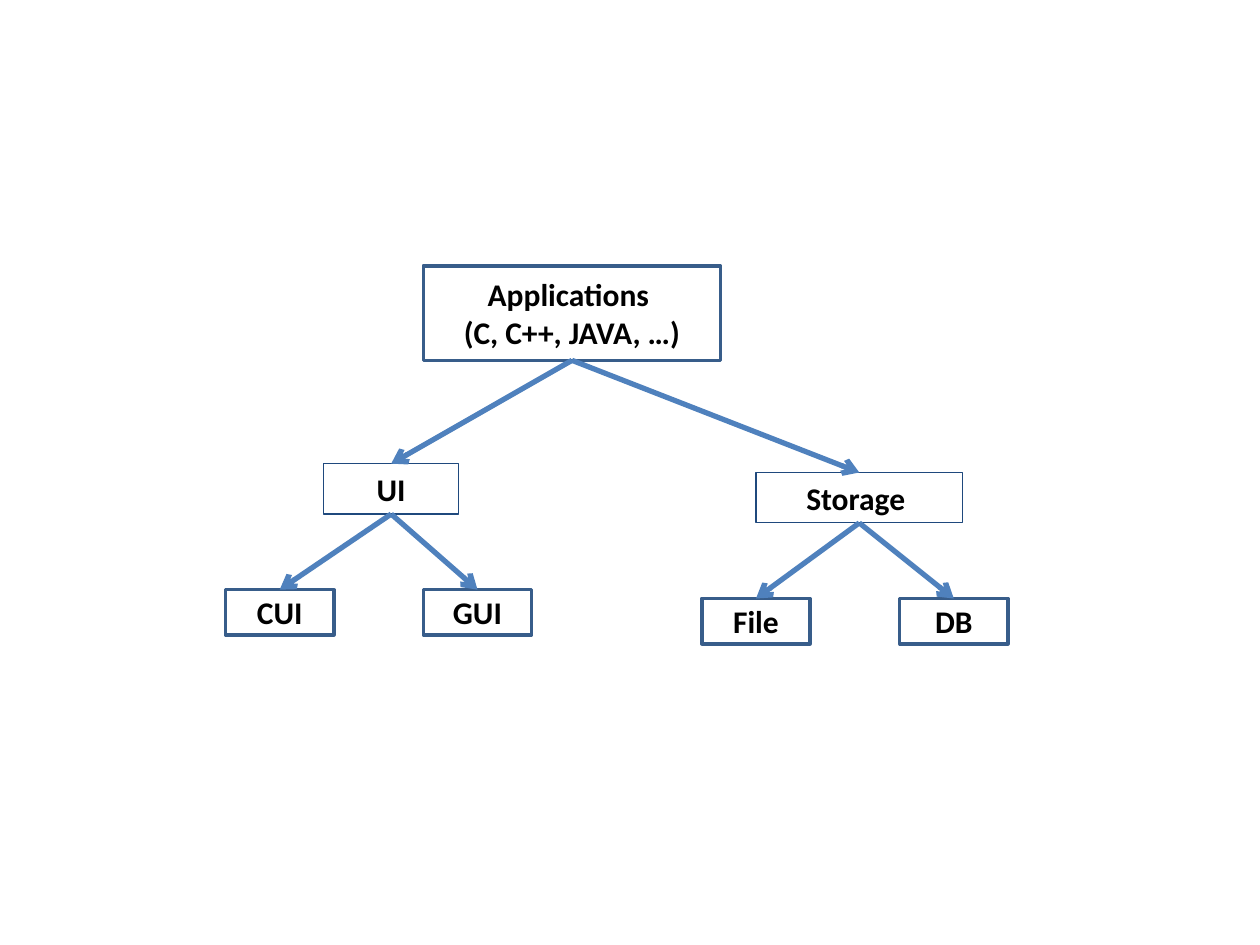
from dataclasses import dataclass

import lxml.etree
import pptx
import pptx.dml.color
import pptx.enum.shapes
import pptx.enum.text
import pptx.oxml.ns
import pptx.util

PX = 9144  # EMU per px, 100 px to the inch
BOTTOM, TOP = 2, 0

WHITE = pptx.dml.color.RGBColor(0xFF, 0xFF, 0xFF)
BLACK = pptx.dml.color.RGBColor(0x00, 0x00, 0x00)
DARK_BLUE = pptx.dml.color.RGBColor(0x38, 0x5D, 0x8A)
NAVY = pptx.dml.color.RGBColor(0x1F, 0x49, 0x7D)
ARROW_BLUE = pptx.dml.color.RGBColor(0x4F, 0x81, 0xBD)


@dataclass(frozen=True)
class Style:
    color: pptx.dml.color.RGBColor
    width: float


@dataclass(frozen=True)
class Node:
    text: str
    left: int
    top: int
    width: int
    height: int
    style: Style
    children: tuple["Node", ...] = ()


THICK = Style(DARK_BLUE, 2)
THIN = Style(NAVY, 0.75)


def leaf_pair(first: str, second: str, left: int, top: int) -> tuple[Node, Node]:
    return (
        Node(first, left, top, 86, 36, THICK),
        Node(second, left + 157, top, 86, 36, THICK),
    )


TREE = Node(
    "Applications \n(C, C++, JAVA, …)", 336, 211, 236, 75, THICK,
    (
        Node("UI", 257, 368, 107, 40, THIN, leaf_pair("CUI", "GUI", 179, 468)),
        Node("Storage ", 600, 375, 164, 40, THIN, leaf_pair("File", "DB", 557, 475)),
    ),
)


def draw_box(page, node: Node):
    box = page.shapes.add_shape(
        pptx.enum.shapes.MSO_SHAPE.RECTANGLE,
        *(length * PX for length in (node.left, node.top, node.width, node.height)),
    )
    box.shadow.inherit = False
    box.fill.solid()
    box.fill.fore_color.rgb = WHITE
    box.line.color.rgb = node.style.color
    box.line.width = pptx.util.Pt(node.style.width)
    frame = box.text_frame
    frame.text = node.text
    frame.word_wrap = True
    frame.vertical_anchor = pptx.enum.text.MSO_ANCHOR.MIDDLE
    for para in frame.paragraphs:
        para.alignment = pptx.enum.text.PP_ALIGN.CENTER
        for span in para.runs:
            span.font.name = "Calibri"
            span.font.size = pptx.util.Pt(18)
            span.font.bold = True
            span.font.color.rgb = BLACK
    return box


def draw_arrow(page, parent, child) -> None:
    arrow = page.shapes.add_connector(
        pptx.enum.shapes.MSO_CONNECTOR.STRAIGHT, 0, 0, 0, 0
    )
    arrow.begin_connect(parent, BOTTOM)
    arrow.end_connect(child, TOP)
    arrow.line.color.rgb = ARROW_BLUE
    arrow.line.width = pptx.util.Pt(3)
    properties = arrow.element.spPr
    head = lxml.etree.SubElement(
        properties.find(pptx.oxml.ns.qn("a:ln")), pptx.oxml.ns.qn("a:tailEnd")
    )
    head.set("type", "arrow")
    lxml.etree.SubElement(properties, pptx.oxml.ns.qn("a:effectLst"))


def draw_tree(page, node: Node):
    """Draw a node with everything below it and return the node's box."""
    box = draw_box(page, node)
    for child in node.children:
        draw_arrow(page, box, draw_tree(page, child))
    return box


def main() -> None:
    deck = pptx.Presentation()
    deck.slide_width = 1000 * PX
    deck.slide_height = 750 * PX
    page = deck.slides.add_slide(deck.slide_layouts[6])
    draw_tree(page, TREE)
    deck.save("out.pptx")


if __name__ == "__main__":
    main()
